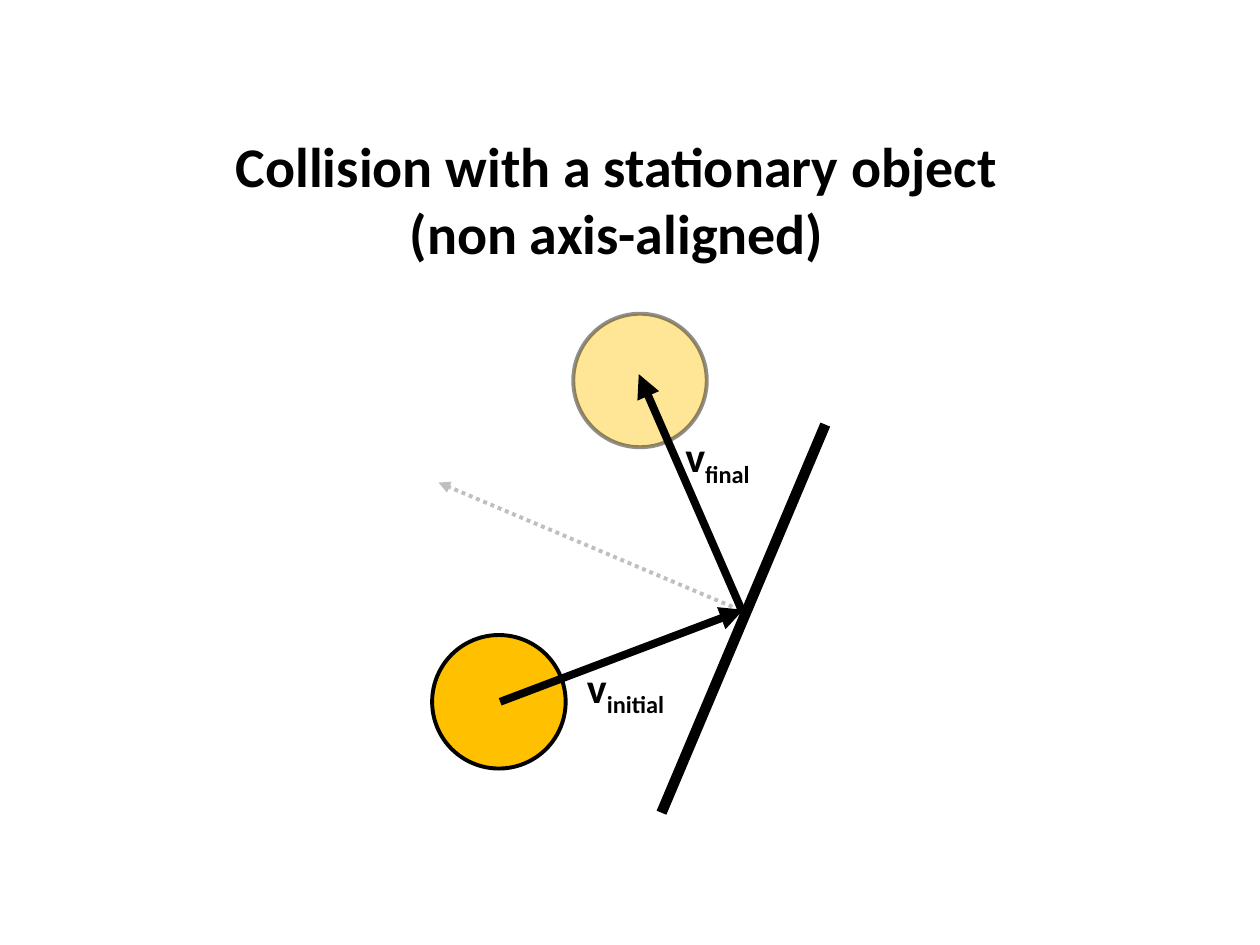
import pptx
import pptx.util
import pptx.dml.color
import pptx.enum.dml
import pptx.enum.shapes
import pptx.enum.text
import pptx.oxml
import pptx.oxml.ns
from dataclasses import dataclass

Inches, Pt = pptx.util.Inches, pptx.util.Pt


@dataclass(frozen=True)
class Theme:
    """Colours, font and sizes of the slide."""
    ink: str = "000000"
    ball: str = "FFC000"
    normal: str = "BFBFBF"
    font: str = "Calibri"
    title_size: int = 32
    label_size: int = 24
    thin: float = 2.25
    arrow: float = 4.5
    wall: float = 6


THEME = Theme()
TITLE = ("Collision with a stationary object (non axis-aligned)", (1.57, 0.99, 6.65, 1.18))
BALL_SIZE = 1.06

# Drawn from back to front.
# line: start, end, colour, width, dotted, arrowhead tag
# ball: left, top, fill opacity, outline opacity (percent)
DIAGRAM = [
    ("line", (5.87, 4.84), (3.48, 3.83), THEME.normal, THEME.thin, True, "tailEnd"),
    ("ball", 4.55, 2.49, 41, 43),
    ("line", (6.55, 3.37), (5.25, 6.45), THEME.ink, THEME.wall, False, None),
    ("ball", 3.43, 5.04, 100, 100),
    ("line", (3.97, 5.57), (5.9, 4.84), THEME.ink, THEME.arrow, False, "tailEnd"),
    ("line", (5.07, 2.97), (5.89, 4.85), THEME.ink, THEME.arrow, False, "headEnd"),
]
LABELS = [
    ("v", "initial", (4.56, 5.2, 0.89, 0.5)),
    ("v", "final", (5.34, 3.37, 0.78, 0.5)),
]


def rgb(code):
    """Turn a hex code into a colour."""
    return pptx.dml.color.RGBColor.from_string(code)


def add_child(parent, tag, **attributes):
    """Append a DrawingML element to a parent element."""
    child = pptx.oxml.parse_xml(f"<a:{tag} {pptx.oxml.ns.nsdecls('a')}/>")
    for name, value in attributes.items():
        child.set(name, value)
    parent.append(child)


def set_opacity(parent, percent):
    """Make the solid fill directly under an element partly transparent."""
    if percent < 100:
        colour = parent.find(pptx.oxml.ns.qn("a:solidFill"))[0]
        add_child(colour, "alpha", val=str(percent * 1000))


def style_outline(line, colour, width):
    """Set the colour and width of a line."""
    line.color.rgb = rgb(colour)
    line.width = Pt(width)


def add_line(page, start, end, colour, width, dotted, arrowhead):
    """Add a straight line, with an optional arrowhead."""
    x1, y1, x2, y2 = map(Inches, start + end)
    link = page.shapes.add_connector(pptx.enum.shapes.MSO_CONNECTOR.STRAIGHT, x1, y1, x2, y2)
    style_outline(link.line, colour, width)
    if dotted:
        link.line.dash_style = pptx.enum.dml.MSO_LINE.ROUND_DOT
    if arrowhead:
        add_child(link.line._get_or_add_ln(), arrowhead, type="triangle")
    add_child(link._element.spPr, "effectLst")


def add_ball(page, left, top, fill_opacity, outline_opacity):
    """Add a ball at one moment of its movement."""
    ball = page.shapes.add_shape(
        pptx.enum.shapes.MSO_SHAPE.OVAL, *map(Inches, (left, top, BALL_SIZE, BALL_SIZE)))
    ball.shadow.inherit = False
    ball.fill.solid()
    ball.fill.fore_color.rgb = rgb(THEME.ball)
    set_opacity(ball._element.spPr, fill_opacity)
    style_outline(ball.line, THEME.ink, THEME.thin)
    set_opacity(ball.line._get_or_add_ln(), outline_opacity)


def add_span(para, text, size):
    """Add a bold run to a paragraph."""
    span = para.add_run()
    span.text = text
    span.font.name = THEME.font
    span.font.size = Pt(size)
    span.font.bold = True
    span.font.color.rgb = rgb(THEME.ink)
    return span


def add_label(page, symbol, subscript, area):
    """Add a vector name with its subscript."""
    box = page.shapes.add_textbox(*map(Inches, area))
    box.text_frame.word_wrap = False
    box.text_frame.auto_size = pptx.enum.text.MSO_AUTO_SIZE.SHAPE_TO_FIT_TEXT
    para = box.text_frame.paragraphs[0]
    add_span(para, symbol, THEME.label_size)
    lowered = add_span(para, subscript, THEME.label_size)
    lowered.font._element.set("baseline", "-25000")


def set_title(page, text, area):
    """Place and fill the title placeholder."""
    title = page.shapes.title
    title.left, title.top, title.width, title.height = map(Inches, area)
    frame = title.text_frame
    frame.word_wrap = True
    frame.auto_size = pptx.enum.text.MSO_AUTO_SIZE.SHAPE_TO_FIT_TEXT
    frame.vertical_anchor = pptx.enum.text.MSO_ANCHOR.TOP
    para = frame.paragraphs[0]
    para.alignment = pptx.enum.text.PP_ALIGN.CENTER
    add_span(para, text, THEME.title_size)


def build():
    """Build and save the deck."""
    deck = pptx.Presentation()
    deck.slide_width, deck.slide_height = Inches(10), Inches(7.5)
    page = deck.slides.add_slide(deck.slide_layouts[5])
    set_title(page, *TITLE)
    draw = {"line": add_line, "ball": add_ball}
    for kind, *details in DIAGRAM:
        draw[kind](page, *details)
    for label in LABELS:
        add_label(page, *label)
    deck.save("out.pptx")


build()
